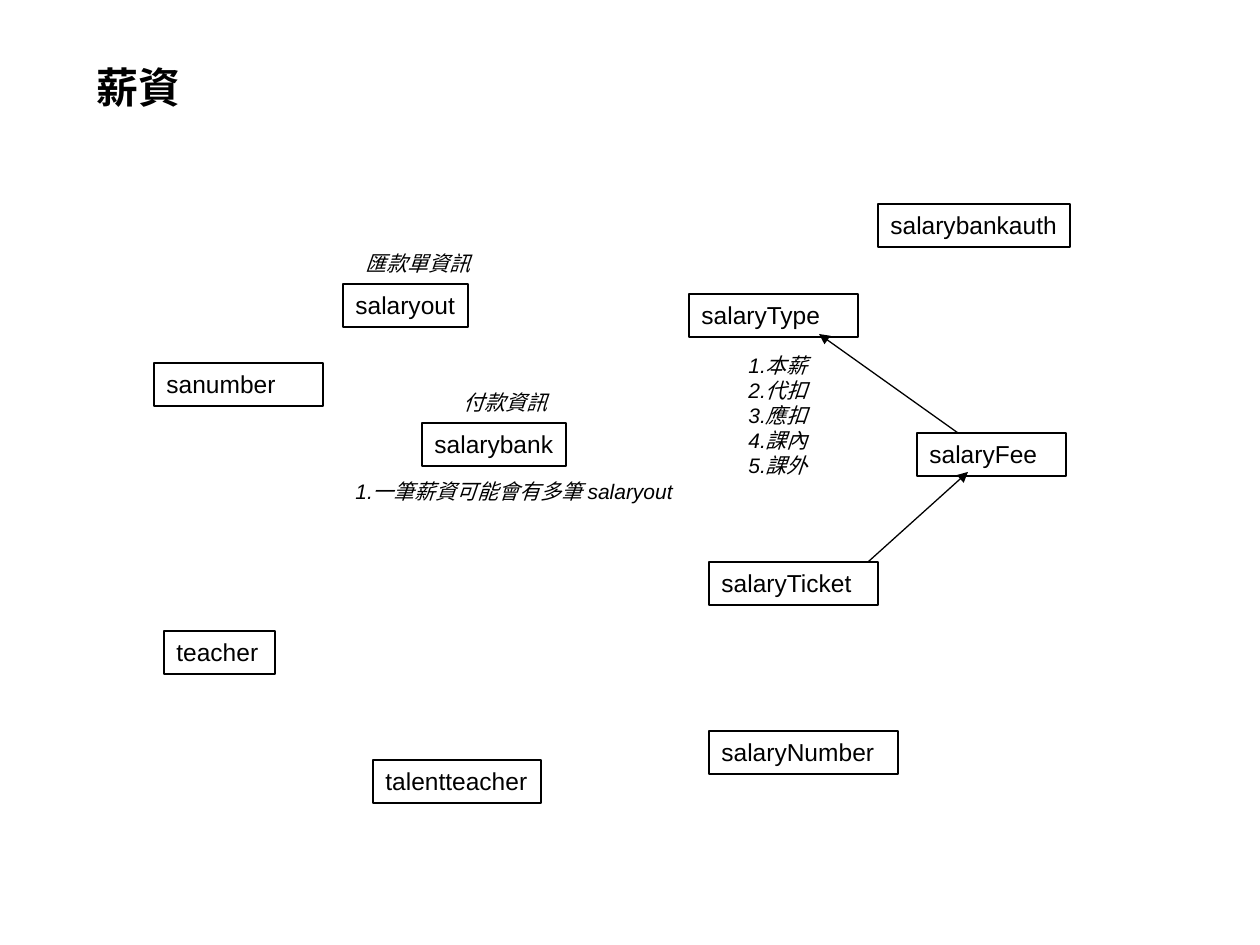
from lxml import etree
from pptx import Presentation
from pptx.dml.color import RGBColor
from pptx.enum.shapes import MSO_CONNECTOR, MSO_SHAPE
from pptx.enum.text import MSO_ANCHOR, MSO_AUTO_SIZE, PP_ALIGN
from pptx.oxml.ns import qn
from pptx.util import Emu, Pt

RECTANGLE = MSO_SHAPE.RECTANGLE
STRAIGHT = MSO_CONNECTOR.STRAIGHT
TOP = MSO_ANCHOR.TOP
GROW = MSO_AUTO_SIZE.SHAPE_TO_FIT_TEXT
LEFT = PP_ALIGN.LEFT
COLORS = {"ink": "000000"}
FONT = "Arial"
LINE_WIDTH = Pt(0.75)
TABLE_HEIGHT = 43
INK = RGBColor.from_string(COLORS["ink"])


def px(*lengths):
    return [Emu(round(length * 914400 / 126)) for length in lengths]


def write(shape, lines, size, bold=False, italic=False, wrap=True):
    frame = shape.text_frame
    frame.word_wrap = wrap
    frame.auto_size = GROW
    frame.vertical_anchor = TOP
    for index, line in enumerate(lines):
        paragraph = frame.add_paragraph() if index else frame.paragraphs[0]
        paragraph.alignment = LEFT
        run = paragraph.add_run()
        run.text = line
        run.font.name = FONT
        run.font.size = Pt(size)
        run.font.bold = bold
        run.font.italic = italic
        run.font.color.rgb = INK


prs = Presentation()
prs.slide_width, prs.slide_height = px(1260, 945)
slide = prs.slides.add_slide(prs.slide_layouts[6])

title = slide.shapes.add_textbox(*px(84, 55, 139, 63))
write(title, ["薪資"], 24, bold=True)

tables = [
    ("teacher", 164, 631, 111, True),
    ("salaryType", 689, 294, 169, True),
    ("salaryNumber", 709, 731, 189, True),
    ("sanumber", 154, 363, 169, True),
    ("salaryFee", 917, 433, 149, True),
    ("salaryTicket", 709, 562, 169, True),
    ("salarybank", 422, 423, 144, False),
    ("salarybankauth", 878, 204, 192, False),
    ("salaryout", 343, 284, 125, False),
    ("talentteacher", 373, 760, 168, False),
]
for name, left, top, width, wrap in tables:
    table = slide.shapes.add_shape(RECTANGLE, *px(left, top, width, TABLE_HEIGHT))
    table.shadow.inherit = False
    table.fill.background()
    table.line.color.rgb = INK
    table.line.width = LINE_WIDTH
    write(table, [name], 14, wrap=wrap)

references = [(868, 562, 968, 472), (958, 433, 819, 334)]
for ends in references:
    reference = slide.shapes.add_connector(STRAIGHT, *px(*ends))
    reference.line.color.rgb = INK
    reference.line.width = LINE_WIDTH
    outline = reference.line._get_or_add_ln()
    etree.SubElement(outline, qn("a:tailEnd"), type="triangle")
    etree.SubElement(reference._element.spPr, qn("a:effectLst"))

salary_types = ["本薪", "代扣", "應扣", "課內", "課外"]
notes = [
    ([f"{number}.{kind}" for number, kind in enumerate(salary_types, 1)], 736, 346, 102, 139),
    (["1.一筆薪資可能會有多筆 salaryout"], 343, 472, 348, 63),
    (["付款資訊"], 451, 383, 149, 38),
    (["匯款單資訊"], 353, 244, 149, 38),
]
for lines, *place in notes:
    note = slide.shapes.add_textbox(*px(*place))
    write(note, lines, 12, italic=True)

prs.save("out.pptx")
